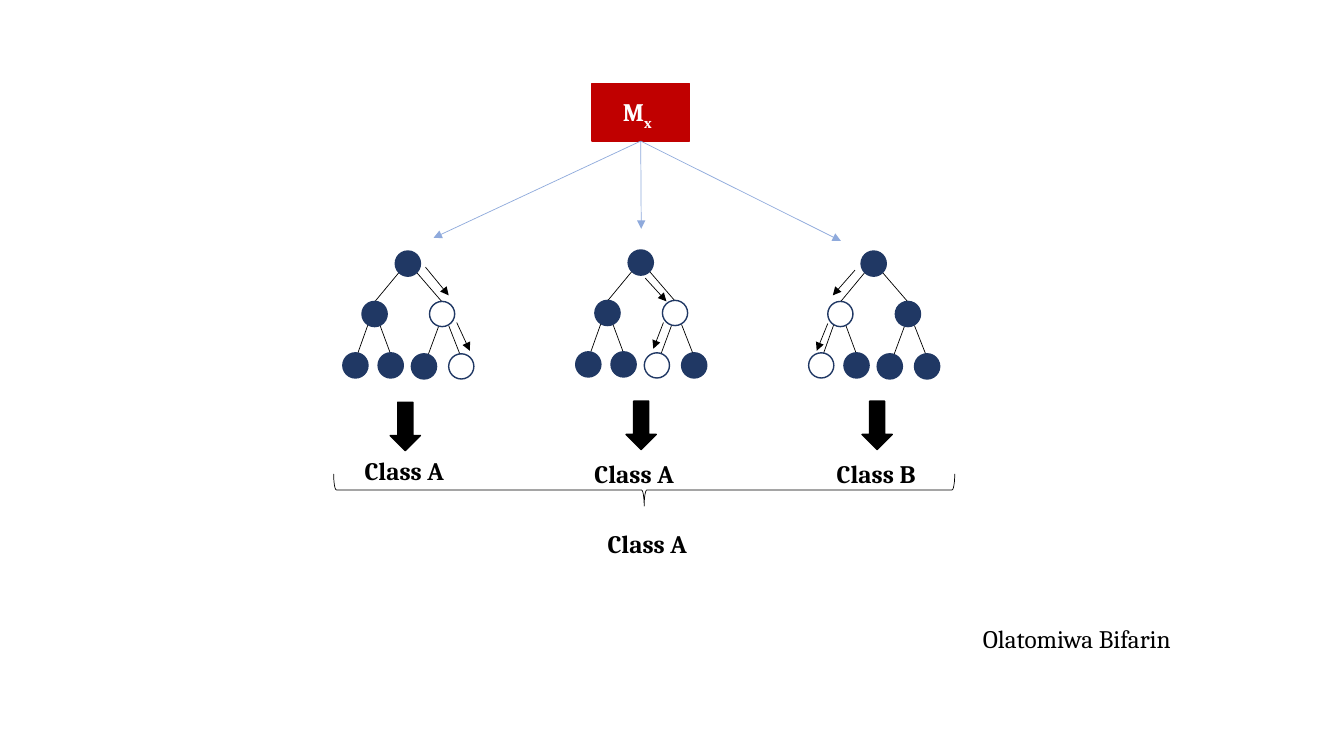
from lxml.etree import SubElement
from pptx import Presentation
from pptx.dml.color import RGBColor
from pptx.enum.shapes import MSO_CONNECTOR, MSO_SHAPE
from pptx.enum.text import MSO_AUTO_SIZE, PP_ALIGN
from pptx.oxml.ns import qn
from pptx.util import Inches, Pt

COLORS = {"navy": "203864", "white": "FFFFFF", "black": "000000",
          "red": "C00000", "sky": "8FAADC"}

# Tree layout, in inches from the top left of its box
NODE_SIZE = 0.25
NODES = {"root": (0.52, 0), "left": (0.19, 0.5), "right": (0.86, 0.5),
         "leaf 1": (0, 1.01), "leaf 2": (0.35, 1.01),
         "leaf 3": (0.68, 1.02), "leaf 4": (1.05, 1.02)}
BRANCHES = [(0.56, 0.21, 0.32, 0.5), (0.73, 0.21, 0.98, 0.5),
            (0.25, 0.73, 0.15, 1.01), (0.37, 0.74, 0.47, 1.01),
            (0.95, 0.75, 0.85, 1.02), (1.05, 0.74, 1.16, 1.02)]

TREE_LEFT, TREE_STEP = 3.4, 2.31
ARROW_LEFT, ARROW_STEP = 3.87, 2.34

# Each tree: its top, visited nodes, path arrows, input arrow tip and vote
TREES = [
    {"top": 2.49, "visited": ("right", "leaf 4"),
     "steps": [(0.82, 0.16, 1.05, 0.44), (1.13, 0.71, 1.26, 0.99)],
     "tip": (4.3, 2.36), "arrow_top": 3.99, "vote": "Class A", "vote_at": (3.48, 4.47)},
    {"top": 2.48, "visited": ("right", "leaf 3"),
     "steps": [(0.69, 0.28, 0.9, 0.51), (0.87, 0.72, 0.77, 0.98)],
     "tip": (6.36, 2.27), "arrow_top": 3.98, "vote": "Class A", "vote_at": (5.76, 4.5)},
    {"top": 2.49, "visited": ("left", "leaf 1"),
     "steps": [(0.46, 0.19, 0.24, 0.44), (0.19, 0.72, 0.08, 0.99)],
     "tip": (8.34, 2.39), "arrow_top": 3.98, "vote": "Class B", "vote_at": (8.16, 4.5)},
]


def rgb(name):
    return RGBColor.from_string(COLORS[name])


def add_figure(shapes, kind, box, fill, line, weight=1):
    figure = shapes.add_shape(kind, *map(Inches, box))
    figure.shadow.inherit = False
    if fill:
        figure.fill.solid()
        figure.fill.fore_color.rgb = rgb(fill)
    else:
        figure.fill.background()
    figure.line.color.rgb = rgb(line)
    figure.line.width = Pt(weight)
    return figure


def add_line(shapes, ends, color="black", arrow=False):
    line = shapes.add_connector(MSO_CONNECTOR.STRAIGHT, *map(Inches, ends))
    line.line.color.rgb = rgb(color)
    line.line.width = Pt(0.5)
    if arrow:
        SubElement(line.line._get_or_add_ln(), qn("a:tailEnd"), type="triangle")
    SubElement(line._element.spPr, qn("a:effectLst"))
    return line


def add_label(shapes, box, texts, color="black", bold=True, align=PP_ALIGN.CENTER,
              wrap=False):
    label = shapes.add_textbox(*map(Inches, box))
    label.text_frame.word_wrap = wrap
    label.text_frame.auto_size = MSO_AUTO_SIZE.SHAPE_TO_FIT_TEXT
    paragraph = label.text_frame.paragraphs[0]
    paragraph.alignment = align
    style = {"name": "Cambria", "size": Pt(18), "bold": bold}
    for text in texts:
        run = paragraph.add_run()
        run.text = text
        for key, value in style.items():
            setattr(run.font, key, value)
        run.font.color.rgb = rgb(color)
    return paragraph


def draw_tree(shapes, left, top, visited, steps):
    tree = shapes.add_group_shape().shapes

    def shift(ends):
        x1, y1, x2, y2 = ends
        return left + x1, top + y1, left + x2, top + y2

    for branch in BRANCHES:
        add_line(tree, shift(branch))
    for name, (x, y) in NODES.items():
        fill = "white" if name in visited else "navy"
        add_figure(tree, MSO_SHAPE.OVAL, (left + x, top + y, NODE_SIZE, NODE_SIZE),
                   fill, "navy")
    # Path taken through the tree
    for step in steps:
        add_line(shapes, shift(step), arrow=True)


def draw_input(shapes, left, top, width, height):
    sample = add_figure(shapes, MSO_SHAPE.RECTANGLE, (left, top, width, height),
                        "red", "red")
    symbol = add_label(shapes, (left + 0.21, top + 0.08, 0.84, 0.4), ("M", "x"),
                       "white", align=PP_ALIGN.LEFT, wrap=True)
    symbol.runs[1]._r.get_or_add_rPr().set("baseline", "-25000")
    for tree in TREES:
        route = add_line(shapes, (left + width / 2, top + height, *tree["tip"]),
                         "sky", arrow=True)
        route.begin_connect(sample, 2)


def draw_forest(shapes, left, step):
    for index, tree in enumerate(TREES):
        draw_tree(shapes, left + index * step, tree["top"], tree["visited"], tree["steps"])


def draw_votes(shapes, left, step):
    for index, tree in enumerate(TREES):
        add_figure(shapes, MSO_SHAPE.DOWN_ARROW,
                   (left + index * step, tree["arrow_top"], 0.3, 0.48), "black", "black")
        add_label(shapes, (*tree["vote_at"], 1.06, 0.4), (tree["vote"],))


def draw_result(shapes, left, top, width, height):
    # The brace is placed upright, then turned about its centre
    brace = add_figure(shapes, MSO_SHAPE.LEFT_BRACE,
                       (left + (width - height) / 2, top + (height - width) / 2,
                        height, width), None, "black", 0.5)
    brace.rotation = 270
    add_label(shapes, (left + 2.58, top + 0.49, 1.06, 0.4), ("Class A",))


def main():
    deck = Presentation()
    deck.slide_width, deck.slide_height = Inches(13.33), Inches(7.5)
    shapes = deck.slides.add_slide(deck.slide_layouts[6]).shapes
    draw_forest(shapes, TREE_LEFT, TREE_STEP)
    draw_result(shapes, 3.31, 4.7, 6.16, 0.32)
    draw_votes(shapes, ARROW_LEFT, ARROW_STEP)
    draw_input(shapes, 5.87, 0.83, 0.97, 0.57)
    # Author
    add_label(shapes, (9.65, 6.13, 2.23, 0.4), ("Olatomiwa Bifarin",),
              bold=False, align=PP_ALIGN.LEFT)
    deck.save("out.pptx")


if __name__ == "__main__":
    main()
